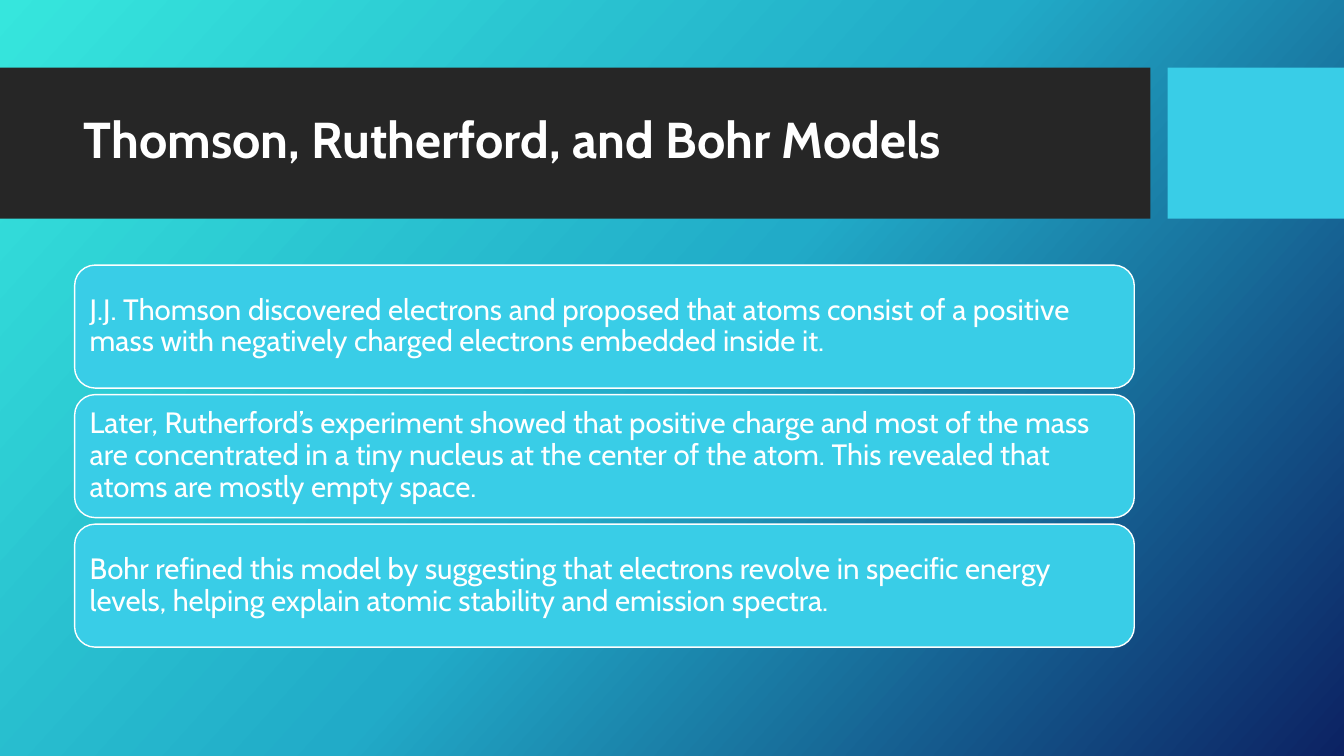
from copy import deepcopy

from pptx import Presentation
from pptx.dml.color import RGBColor
from pptx.enum import shapes, text
from pptx.oxml import ns
from pptx.util import Inches, Pt

TITLE = "Thomson, Rutherford, and Bohr Models"
MODELS = [
    "J.J. Thomson discovered electrons and proposed that atoms consist of a positive mass "
    "with negatively charged electrons embedded inside it.",
    "Later, Rutherford’s experiment showed that positive charge and most of the mass are "
    "concentrated in a tiny nucleus at the center of the atom. This revealed that atoms are "
    "mostly empty space.",
    "Bohr refined this model by suggesting that electrons revolve in specific energy levels, "
    "helping explain atomic stability and emission spectra.",
]

THEME = {
    "font": "Cabin",
    "white": RGBColor.from_string("FFFFFF"),
    "band": RGBColor.from_string("262626"),
    "accent": RGBColor.from_string("39CDE7"),
    "gradient": [(0, "36E6DD"), (0.5, "21ABC8"), (1, "0C2263")],
    "gradient_angle": 42,
    "title_size": Pt(36),
    "body_size": Pt(21),
}

SLIDE_WIDTH, SLIDE_HEIGHT = 13.33, 7.5
BAND_TOP, BAND_HEIGHT, BAND_WIDTH = 0.67, 1.5, 11.41
ACCENT_LEFT = 11.58
CONTENT_LEFT, CONTENT_WIDTH = 0.74, 10.51
CARD_TOP, CARD_HEIGHT, CARD_PITCH = 2.63, 1.22, 1.285


def paint_background(slide):
    fill = slide.background.fill
    fill.gradient()
    fill.gradient_angle = 360 - THEME["gradient_angle"]
    first_stop = next(slide.element.iter(ns.qn("a:gs")))
    first_stop.addnext(deepcopy(first_stop))
    for stop, (position, color) in zip(fill.gradient_stops, THEME["gradient"]):
        stop.position = position
        stop.color.rgb = RGBColor.from_string(color)


def add_block(slide, kind, box, color, outlined=False):
    shape = slide.shapes.add_shape(kind, *map(Inches, box))
    shape.shadow.inherit = False
    shape.fill.solid()
    shape.fill.fore_color.rgb = color
    if outlined:
        shape.line.color.rgb = THEME["white"]
        shape.line.width = Pt(1)
    else:
        shape.line.fill.background()
    return shape


def write(shape, words, size, bold=False):
    frame = shape.text_frame
    frame.word_wrap = True
    frame.vertical_anchor = text.MSO_ANCHOR.MIDDLE
    for side in ("left", "right", "top", "bottom"):
        setattr(frame, f"margin_{side}", Inches(0.09))
    paragraph = frame.paragraphs[0]
    paragraph.text = words
    paragraph.alignment = text.PP_ALIGN.LEFT
    paragraph.line_spacing = 0.9
    font = paragraph.runs[0].font
    for name, value in {"name": THEME["font"], "size": size, "bold": bold}.items():
        setattr(font, name, value)
    font.color.rgb = THEME["white"]


def main():
    presentation = Presentation()
    presentation.slide_width = Inches(SLIDE_WIDTH)
    presentation.slide_height = Inches(SLIDE_HEIGHT)
    slide = presentation.slides.add_slide(presentation.slide_layouts[6])
    paint_background(slide)

    # Title band with accent block
    rectangle = shapes.MSO_SHAPE.RECTANGLE
    add_block(slide, rectangle, (0, BAND_TOP, BAND_WIDTH, BAND_HEIGHT), THEME["band"])
    accent_box = (ACCENT_LEFT, BAND_TOP, SLIDE_WIDTH - ACCENT_LEFT, BAND_HEIGHT)
    add_block(slide, rectangle, accent_box, THEME["accent"])
    title_box = (CONTENT_LEFT, 0.82, CONTENT_WIDTH, 1.18)
    title = slide.shapes.add_textbox(*map(Inches, title_box))
    write(title, TITLE, THEME["title_size"], bold=True)

    # One card per atomic model
    for index, words in enumerate(MODELS):
        card_box = (CONTENT_LEFT, CARD_TOP + index * CARD_PITCH, CONTENT_WIDTH, CARD_HEIGHT)
        card = add_block(slide, shapes.MSO_SHAPE.ROUNDED_RECTANGLE, card_box,
                         THEME["accent"], outlined=True)
        write(card, words, THEME["body_size"])

    presentation.save("out.pptx")


if __name__ == "__main__":
    main()
